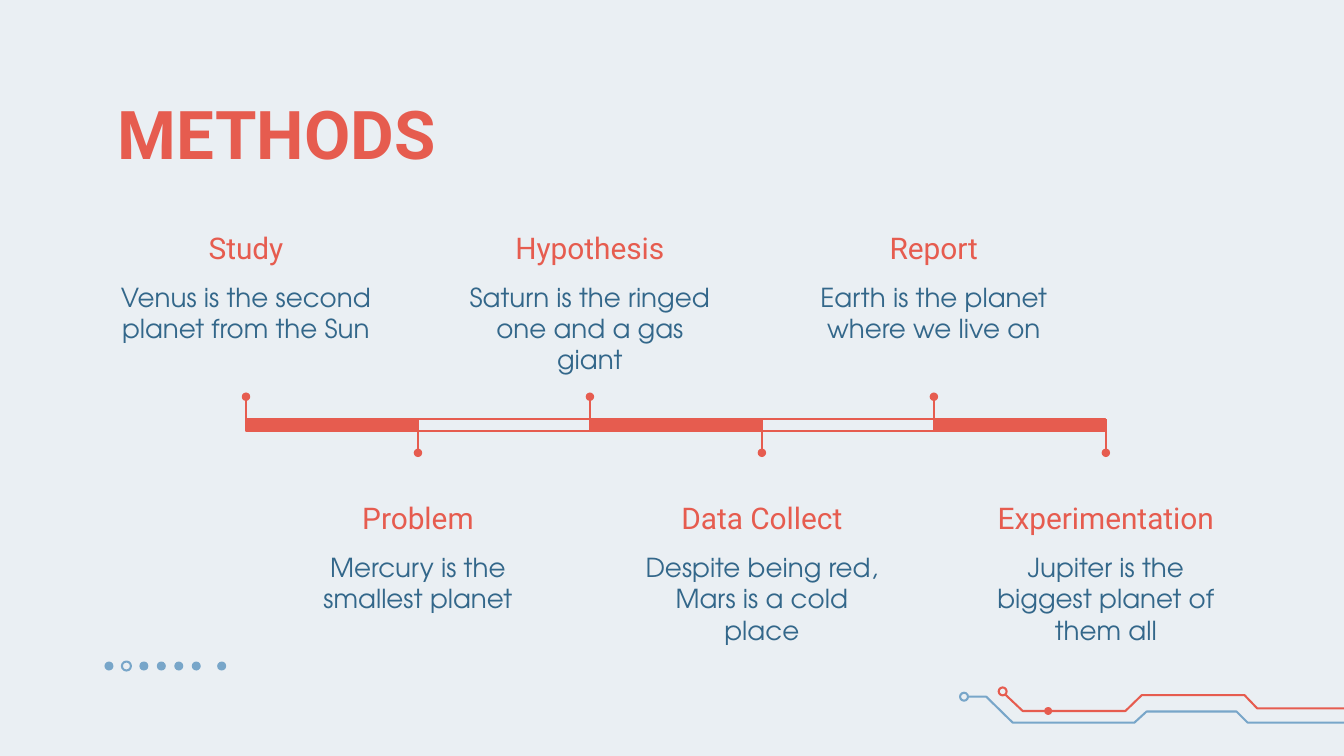
from pptx import Presentation
from pptx.dml.color import RGBColor
from pptx.enum.shapes import MSO_CONNECTOR, MSO_SHAPE
from pptx.enum.text import MSO_ANCHOR, MSO_AUTO_SIZE, PP_ALIGN
from pptx.oxml.ns import qn
from pptx.util import Cm, Pt
from lxml import etree

RECTANGLE, OVAL = MSO_SHAPE.RECTANGLE, MSO_SHAPE.OVAL
STRAIGHT = MSO_CONNECTOR.STRAIGHT
TOP, NO_AUTOFIT = MSO_ANCHOR.TOP, MSO_AUTO_SIZE.NONE
LEFT, CENTER = PP_ALIGN.LEFT, PP_ALIGN.CENTER

BACKGROUND = RGBColor(0xEA, 0xEF, 0xF3)
RED = RGBColor(0xE6, 0x5C, 0x4F)
LIGHT_BLUE = RGBColor(0x78, 0xA6, 0xC9)
DARK_BLUE = RGBColor(0x33, 0x67, 0x8A)
HEADING_FONT, BODY_FONT = "Roboto", "TeX Gyre Adventor"

# Content: steps alternate above and below the timeline
TITLE = "METHODS"
STEPS = [
    ("Study", "Venus is the second planet from the Sun"),
    ("Problem", "Mercury is the smallest planet"),
    ("Hypothesis", "Saturn is the ringed one and a gas giant"),
    ("Data Collect", "Despite being red, Mars is a cold place"),
    ("Report", "Earth is the planet where we live on"),
    ("Experimentation", "Jupiter is the biggest planet of them all"),
]

# Layout, in centimetres
SLIDE_WIDTH, SLIDE_HEIGHT = 25.4, 14.29
TIMELINE_LEFT, STEP_GAP = 4.65, 3.25
BAR_TOP, BAR_HEIGHT = 7.92, 0.23
BAR_BOTTOM = BAR_TOP + BAR_HEIGHT
PIN_DOT = 0.16
TEXT_WIDTH, HEADING_HEIGHT, BODY_HEIGHT, BODY_OFFSET = 5.26, 1.24, 1.8, 0.97
# Heading top, pin dot centre, far edge of the bar
ABOVE = (4.09, 7.5, BAR_BOTTOM)
BELOW = (9.2, 8.56, BAR_TOP)

PAGER_LEFT, PAGER_GAP, PAGER_Y, PAGER_DOT = 2.06, 0.33, 12.59, 0.17
PAGER_RING, PAGER_LAST = 1, 4.19
CIRCUIT_DOT = 0.15
CIRCUITS = [
    (LIGHT_BLUE, (18.22, 13.17),
     [(18.3, 13.17), (18.64, 13.17), (19.14, 13.66), (21.44, 13.66),
      (21.67, 13.45), (23.37, 13.45), (23.58, 13.66), (SLIDE_WIDTH, 13.66)]),
    (RED, (18.95, 13.07),
     [(18.99, 13.12), (19.33, 13.44), (21.27, 13.44), (21.58, 13.14),
      (23.52, 13.14), (23.76, 13.39), (SLIDE_WIDTH, 13.39)]),
]
CIRCUIT_NODE = (19.81, 13.44)


def write_text(shape, text, *, font, size, color, bold=False, align=CENTER):
    frame = shape.text_frame
    frame.word_wrap = True
    frame.auto_size = NO_AUTOFIT
    frame.vertical_anchor = TOP
    frame.margin_left = frame.margin_right = Cm(0.25)
    frame.margin_top = frame.margin_bottom = Cm(0.25)
    paragraph = frame.paragraphs[0]
    paragraph.alignment = align
    run = paragraph.add_run()
    run.text = text
    run.font.name, run.font.size = font, Pt(size)
    run.font.bold, run.font.color.rgb = bold, color


def paint(shape, fill=None, line=None, width=0.75):
    shape.shadow.inherit = False
    if fill is None:
        shape.fill.background()
    else:
        shape.fill.solid()
        shape.fill.fore_color.rgb = fill
    if line is None:
        shape.line.fill.background()
    else:
        shape.line.color.rgb = line
        shape.line.width = Pt(width)


def add_dot(slide, x, y, diameter, color, ring=False):
    dot = slide.shapes.add_shape(OVAL, Cm(x - diameter / 2), Cm(y - diameter / 2),
                                 Cm(diameter), Cm(diameter))
    if ring:
        paint(dot, line=color, width=1.1)
    else:
        paint(dot, fill=color)


def add_pin(slide, x, dot_y, end_y):
    pin = slide.shapes.add_connector(STRAIGHT, Cm(x), Cm(dot_y), Cm(x), Cm(end_y))
    pin.line.color.rgb = RED
    pin.line.width = Pt(0.75)
    etree.SubElement(pin._element.spPr, qn("a:effectLst"))
    add_dot(slide, x, dot_y, PIN_DOT, RED)


def add_circuit(slide, color, ring_center, points):
    points = [(Cm(x), Cm(y)) for x, y in points]
    builder = slide.shapes.build_freeform(*points[0])
    builder.add_line_segments(points[1:], close=False)
    paint(builder.convert_to_shape(), line=color, width=1.1)
    add_dot(slide, *ring_center, CIRCUIT_DOT, color, ring=True)


def add_step_text(slide, heading, body, x, top):
    left = Cm(x - TEXT_WIDTH / 2)
    box = slide.shapes.add_textbox(left, Cm(top), Cm(TEXT_WIDTH), Cm(HEADING_HEIGHT))
    write_text(box, heading, font=HEADING_FONT, size=16, color=RED)
    box = slide.shapes.add_textbox(left, Cm(top + BODY_OFFSET),
                                   Cm(TEXT_WIDTH), Cm(BODY_HEIGHT))
    write_text(box, body, font=BODY_FONT, size=14, color=DARK_BLUE)


def main():
    presentation = Presentation()
    presentation.slide_width = Cm(SLIDE_WIDTH)
    presentation.slide_height = Cm(SLIDE_HEIGHT)
    slide = presentation.slides.add_slide(presentation.slide_layouts[5])
    slide.background.fill.solid()
    slide.background.fill.fore_color.rgb = BACKGROUND

    # Title
    title = slide.shapes.title
    title.left, title.top = Cm(1.98), Cm(1.5)
    title.width, title.height = Cm(21.56), Cm(1.7)
    write_text(title, TITLE, font=HEADING_FONT, size=36, color=RED,
               bold=True, align=LEFT)

    # Row of dots and circuit lines at the bottom
    for index in range(6):
        add_dot(slide, PAGER_LEFT + index * PAGER_GAP, PAGER_Y, PAGER_DOT,
                LIGHT_BLUE, ring=index == PAGER_RING)
    add_dot(slide, PAGER_LAST, PAGER_Y, PAGER_DOT, LIGHT_BLUE)
    for circuit in CIRCUITS:
        add_circuit(slide, *circuit)
    add_dot(slide, *CIRCUIT_NODE, CIRCUIT_DOT, RED)

    # Timeline bars, alternately solid and hollow
    for index in range(len(STEPS) - 1):
        bar = slide.shapes.add_shape(
            RECTANGLE, Cm(TIMELINE_LEFT + index * STEP_GAP), Cm(BAR_TOP),
            Cm(STEP_GAP), Cm(BAR_HEIGHT))
        paint(bar, fill=BACKGROUND if index % 2 else RED, line=RED)

    # Pins and step texts
    for index, (heading, body) in enumerate(STEPS):
        x = TIMELINE_LEFT + index * STEP_GAP
        text_top, dot_y, end_y = BELOW if index % 2 else ABOVE
        add_pin(slide, x, dot_y, end_y)
        add_step_text(slide, heading, body, x, text_top)

    presentation.save("out.pptx")


if __name__ == "__main__":
    main()
